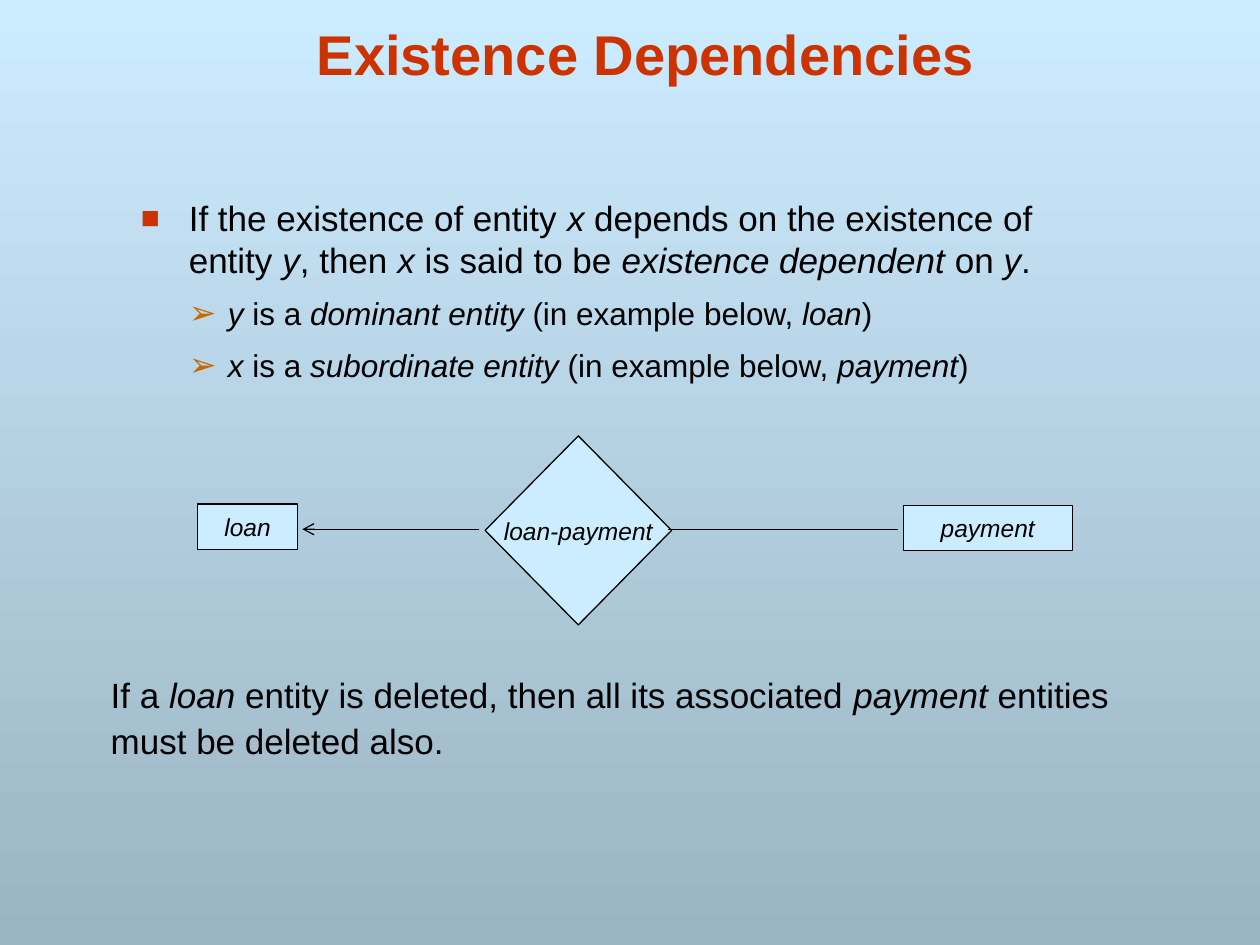
from dataclasses import dataclass
from typing import Any

from lxml import etree
from pptx import Presentation
from pptx import util as u
from pptx.dml.color import RGBColor
from pptx.enum import shapes, text
from pptx.oxml import ns

SKY = RGBColor(0xCC, 0xEC, 0xFF)
SLATE = RGBColor(0x9B, 0xB4, 0xC2)
RED = RGBColor(0xCC, 0x33, 0x00)
ORANGE = RGBColor(0xCC, 0x66, 0x00)
BLACK = RGBColor(0, 0, 0)

# The grid has cells of one inch
COLUMNS, ROWS = 10, 7.5


def add_element(parent, tag, **attributes):
    return etree.SubElement(parent, ns.qn(tag), attributes)


@dataclass
class SlideBuilder:
    page: Any
    cell: int = u.Inches(1)
    font: str = "Arial"
    line_width: float = 0.75

    def place(self, *cells):
        return [round(self.cell * count) for count in cells]

    def background(self, top, bottom):
        fill = self.page.background.fill
        fill.gradient()
        fill.gradient_angle = 270
        for stop, position, color in zip(fill.gradient_stops, (0, 1), (top, bottom)):
            stop.position = position
            stop.color.rgb = color

    def fill_paragraph(self, para, content, size, color=BLACK, bold=False):
        """Parts between asterisks are italic."""
        para.font.name = self.font
        para.font.size = u.Pt(size)
        para.font.color.rgb = color
        para.font.bold = bold
        for index, part in enumerate(content.split("*")):
            if part:
                span = para.add_run()
                span.text = part
                span.font.italic = index % 2 == 1

    def text_box(self, *cells, anchor=text.MSO_ANCHOR.TOP):
        frame = self.page.shapes.add_textbox(*self.place(*cells)).text_frame
        frame.word_wrap = True
        frame.vertical_anchor = anchor
        return frame

    def bullet(self, para, symbol, color, percent, left, hanging):
        properties = para._p.get_or_add_pPr()
        properties.set("marL", str(u.Inches(left)))
        properties.set("indent", str(-u.Inches(hanging)))
        add_element(add_element(properties, "a:buClr"), "a:srgbClr", val=str(color))
        add_element(properties, "a:buSzPct", val=str(percent * 1000))
        add_element(properties, "a:buFont", typeface=self.font)
        add_element(properties, "a:buChar", char=symbol)

    def node(self, kind, label, *cells):
        box = self.page.shapes.add_shape(kind, *self.place(*cells))
        box.shadow.inherit = False
        box.fill.solid()
        box.fill.fore_color.rgb = SKY
        box.line.color.rgb = BLACK
        box.line.width = u.Pt(self.line_width)
        frame = box.text_frame
        frame.word_wrap = False
        frame.vertical_anchor = text.MSO_ANCHOR.MIDDLE
        para = frame.paragraphs[0]
        para.alignment = text.PP_ALIGN.CENTER
        self.fill_paragraph(para, f"*{label}*", 14)

    def link(self, start, end, row, arrow=False):
        line = self.page.shapes.add_connector(
            shapes.MSO_CONNECTOR.STRAIGHT, *self.place(start, row, end, row))
        line.line.color.rgb = BLACK
        line.line.width = u.Pt(self.line_width)
        if arrow:
            add_element(line.line._get_or_add_ln(), "a:tailEnd", type="arrow")
        add_element(line._element.spPr, "a:effectLst")


def main():
    deck = Presentation()
    deck.slide_width = u.Inches(COLUMNS)
    deck.slide_height = u.Inches(ROWS)
    slide = SlideBuilder(deck.slides.add_slide(deck.slide_layouts[6]))
    slide.background(SKY, SLATE)

    # Title
    title = slide.text_box(0.71, 0.05, 8.83, 0.67, anchor=text.MSO_ANCHOR.BOTTOM)
    title.margin_bottom = u.Inches(0.03)
    title.paragraphs[0].alignment = text.PP_ALIGN.CENTER
    slide.fill_paragraph(title.paragraphs[0], "Existence Dependencies", 32, RED, bold=True)

    # Definition with its two roles
    body = slide.text_box(1.02, 1.49, 7.69, 1.74)
    body.margin_top = u.Inches(0.07)
    definition = body.paragraphs[0]
    slide.bullet(definition, "■", RED, 90, 0.38, 0.38)
    slide.fill_paragraph(
        definition, "If the existence of entity *x* depends on the existence of "
        "entity *y*, then *x* is said to be *existence dependent *on *y*.", 20)
    for role in ("*y* is a *dominant entity* (in example below, *loan*)",
                 "*x* is a *subordinate entity* (in example below, *payment*)"):
        para = body.add_paragraph()
        para.level = 1
        para.space_before = u.Pt(7.9)
        slide.bullet(para, "➢", ORANGE, 105, 0.69, 0.31)
        slide.fill_paragraph(para, role, 18)

    # Diagram: relationship between two entities
    slide.node(shapes.MSO_SHAPE.DIAMOND, "loan-payment", 3.85, 3.46, 1.48, 1.5)
    slide.node(shapes.MSO_SHAPE.RECTANGLE, "payment", 7.17, 4.01, 1.34, 0.36)
    slide.node(shapes.MSO_SHAPE.RECTANGLE, "loan", 1.57, 4, 0.79, 0.36)
    slide.link(3.8, 2.4, 4.2, arrow=True)
    slide.link(5.3, 7.13, 4.2)

    # Consequence
    consequence = slide.text_box(0.78, 5.26, 8.3, 0.9).paragraphs[0]
    consequence.line_spacing = 1.1
    slide.fill_paragraph(
        consequence, "If a *loan* entity is deleted, then all its associated"
        "* payment *entities must be deleted also.", 20)

    deck.save("out.pptx")


if __name__ == "__main__":
    main()
